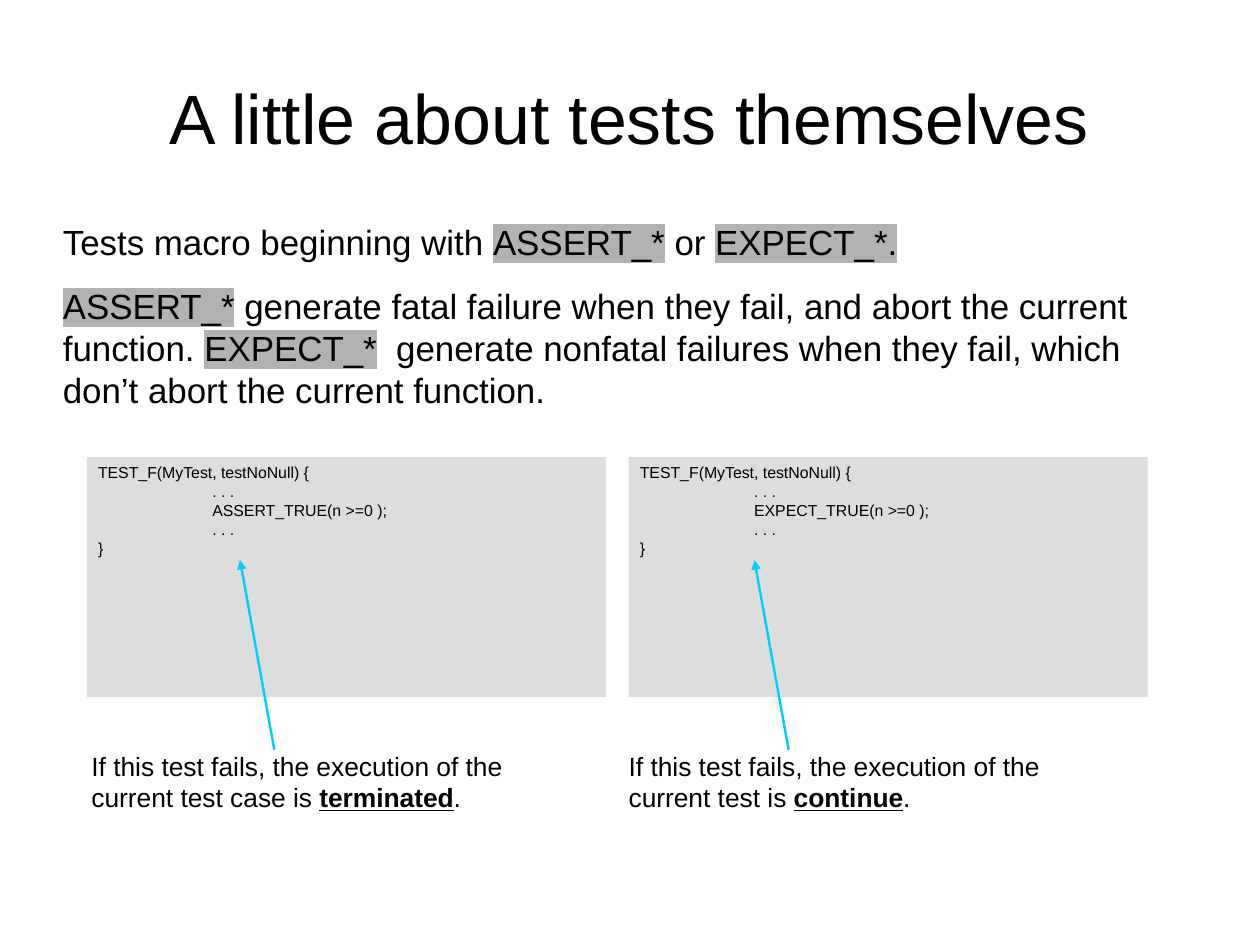
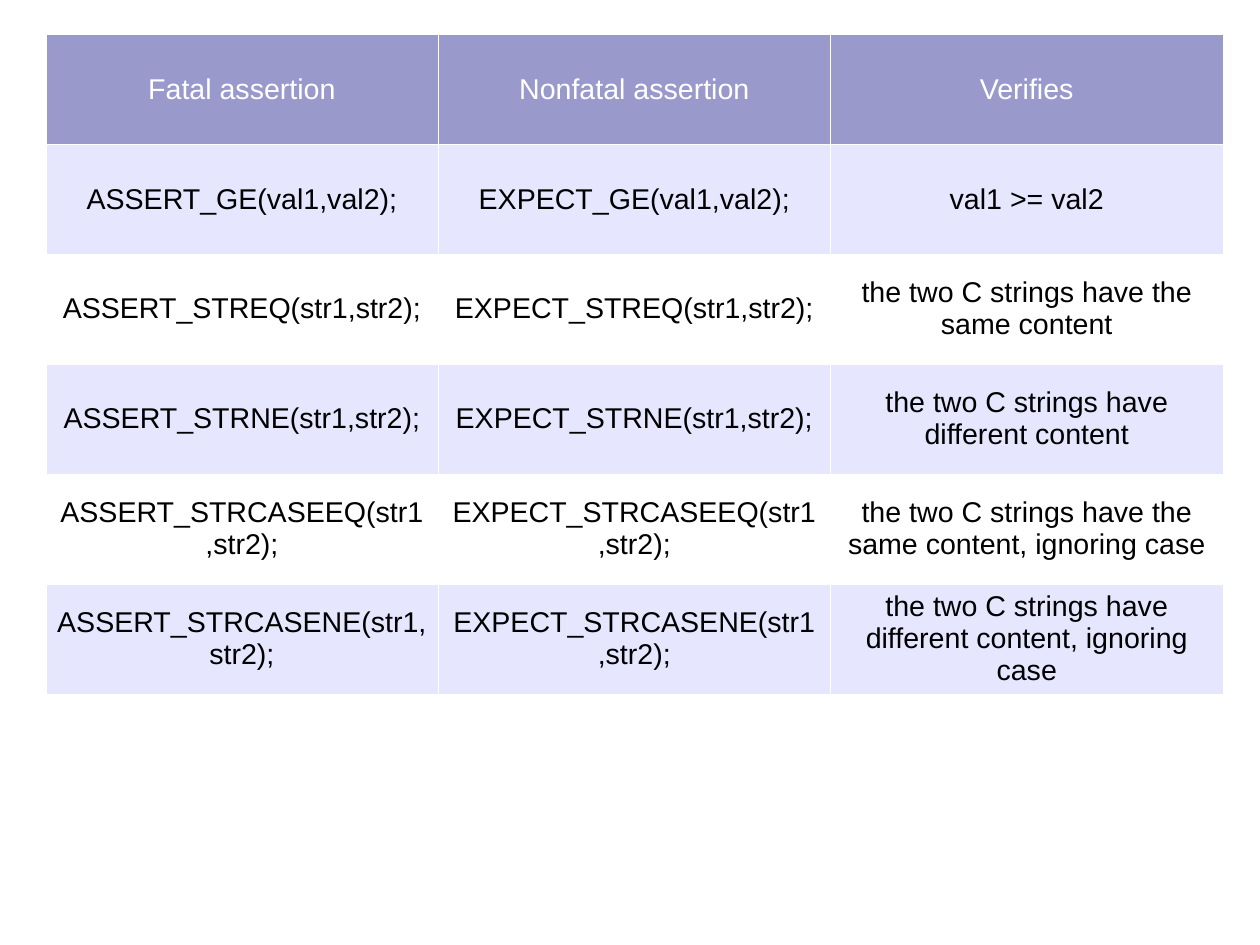
from dataclasses import dataclass

from lxml.etree import SubElement
from pptx import Presentation
from pptx.dml.color import RGBColor
from pptx.enum.shapes import MSO_CONNECTOR as Connector, MSO_SHAPE as Preset
from pptx.enum.text import MSO_ANCHOR as Anchor, PP_ALIGN as Align
from pptx.oxml.ns import qn
from pptx.slide import Slide
from pptx.text.text import TextFrame
from pptx.util import Cm, Inches, Pt

COLORS = {
    "text": "000000",
    "white": "FFFFFF",
    "highlight": "B2B2B2",
    "panel": "DDDDDD",
    "arrow": "00CCFF",
    "header": "9999CC",
    "band": "E6E6FF",
}
FONT = "Arial"
SLIDE_SIZE_CM = (28, 21)
BLANK_LAYOUT = 6
PANEL_TOP, CAPTION_TOP, ARROW_TIP = 4.0, 6.56, 4.9
ARROW_LEAN = 0.3


@dataclass(frozen=True)
class Span:
    text: str
    marked: bool = False
    strong: bool = False


@dataclass(frozen=True)
class Style:
    size: float
    color: str = "text"
    align: Align = Align.LEFT
    space_before: float = 0
    tab_stop: float = 0


@dataclass(frozen=True)
class Example:
    panel_left: float
    caption_left: float
    arrow_left: float
    macro: str
    subject: str
    outcome: str


TITLE = Style(44, align=Align.CENTER)
BODY = Style(22, space_before=14.2)
CODE = Style(10, tab_stop=1)
CAPTION = Style(16.6)
HEADER_CELL = Style(18, "white", Align.CENTER)
BODY_CELL = Style(18, align=Align.CENTER)

BODY_TEXT = [
    [
        Span("Tests macro beginning with "),
        Span("ASSERT_*", marked=True),
        Span(" or "),
        Span("EXPECT_*.", marked=True),
    ],
    [
        Span("ASSERT_*", marked=True),
        Span(" generate fatal failure when they fail, and abort the current function. "),
        Span("EXPECT_*", marked=True),
        Span("  generate nonfatal failures when they fail, "
             "which don’t abort the current function."),
    ],
]
EXAMPLES = [
    Example(0.76, 0.8, 2.1, "ASSERT_TRUE", "test case", "terminated"),
    Example(5.5, 5.5, 6.6, "EXPECT_TRUE", "test", "continue"),
]
TABLE_HEADER = ("Fatal assertion", "Nonfatal assertion", "Verifies")
CHECKS = [
    ("GE(val1,val2);", "val1 >= val2"),
    ("STREQ(str1,str2);", "the two C strings have the same content"),
    ("STRNE(str1,str2);", "the two C strings have different content"),
    ("STRCASEEQ(str1,str2);", "the two C strings have the same content, ignoring case"),
    ("STRCASENE(str1,str2);", "the two C strings have different content, ignoring case"),
]


def rgb(name: str) -> RGBColor:
    return RGBColor.from_string(COLORS[name])


def add_solid(parent, tag: str, color: str) -> None:
    """Append a colour-holding element, such as a highlight or a fill."""
    SubElement(SubElement(parent, qn(tag)), qn("a:srgbClr")).set("val", COLORS[color])


def write(frame: TextFrame, lines: list[list[Span]], style: Style) -> None:
    for index, spans in enumerate(lines):
        para = frame.paragraphs[0] if index == 0 else frame.add_paragraph()
        para.alignment = style.align
        para.space_before = Pt(style.space_before)
        if style.tab_stop:
            stops = SubElement(para._p.get_or_add_pPr(), qn("a:tabLst"))
            SubElement(stops, qn("a:tab"), pos=str(Inches(style.tab_stop)), algn="l")
        para.font.size = Pt(style.size)
        for span in spans:
            run = para.add_run()
            run.text = span.text
            # Shape and table styles override paragraph colour and typeface
            run.font.color.rgb = rgb(style.color)
            if span.marked:
                add_solid(run.font._element, "a:highlight", "highlight")
            run.font.name = FONT
            if span.strong:
                run.font.bold = run.font.underline = True


def add_text(slide: Slide, left: float, top: float, width: float, height: float,
             lines: list[list[Span]], style: Style, anchor: Anchor = Anchor.TOP) -> None:
    box = slide.shapes.add_textbox(*map(Inches, (left, top, width, height)))
    frame = box.text_frame
    frame.word_wrap = True
    frame.vertical_anchor = anchor
    frame.margin_left = frame.margin_right = frame.margin_top = frame.margin_bottom = 0
    write(frame, lines, style)


def add_panel(slide: Slide, example: Example) -> None:
    panel = slide.shapes.add_shape(
        Preset.RECTANGLE, *map(Inches, (example.panel_left, PANEL_TOP, 4.54, 2.1)))
    panel.shadow.inherit = False
    panel.fill.solid()
    panel.fill.fore_color.rgb = rgb("panel")
    panel.line.fill.background()
    panel.text_frame.word_wrap = True
    panel.text_frame.vertical_anchor = Anchor.TOP
    code = ["TEST_F(MyTest, testNoNull) {", "\t. . .",
            f"\t{example.macro}(n >=0 );", "\t. . .", "}"]
    write(panel.text_frame, [[Span(line)] for line in code], CODE)


def add_arrow(slide: Slide, example: Example) -> None:
    ends = (example.arrow_left + ARROW_LEAN, CAPTION_TOP, example.arrow_left, ARROW_TIP)
    arrow = slide.shapes.add_connector(Connector.STRAIGHT, *map(Inches, ends))
    arrow.line.color.rgb = rgb("arrow")
    arrow.line.width = Pt(1.5)
    SubElement(arrow.line._get_or_add_ln(), qn("a:tailEnd")).set("type", "triangle")
    SubElement(arrow._element.spPr, qn("a:effectLst"))


def add_example(slide: Slide, example: Example) -> None:
    add_panel(slide, example)
    caption = [
        Span(f"If this test fails, the execution of the current {example.subject} is "),
        Span(example.outcome, strong=True),
        Span("."),
    ]
    add_text(slide, example.caption_left, CAPTION_TOP, 4.3, 0.44, [caption], CAPTION)
    add_arrow(slide, example)


def add_assertion_table(slide: Slide) -> None:
    rows = [TABLE_HEADER] + [
        (f"ASSERT_{call}", f"EXPECT_{call}", meaning) for call, meaning in CHECKS]
    table = slide.shapes.add_table(
        len(rows), len(TABLE_HEADER), *map(Inches, (0.4, 0.3, 10.3, 5.77))).table
    table.first_row = table.horz_banding = False
    for row_index, row in enumerate(rows):
        if row_index == 0:
            fill, style = "header", HEADER_CELL
        else:
            fill, style = ("band" if row_index % 2 else "white"), BODY_CELL
        for column_index, text in enumerate(row):
            cell = table.cell(row_index, column_index)
            cell.vertical_anchor = Anchor.MIDDLE
            # Thin white borders come before the fill
            properties = cell._tc.get_or_add_tcPr()
            for side in ("a:lnL", "a:lnR", "a:lnT", "a:lnB"):
                border = SubElement(properties, qn(side))
                border.set("w", str(Pt(0.06)))
                add_solid(border, "a:solidFill", "white")
            cell.fill.solid()
            cell.fill.fore_color.rgb = rgb(fill)
            write(cell.text_frame, [[Span(text)]], style)


def main() -> None:
    deck = Presentation()
    deck.slide_width, deck.slide_height = map(Cm, SLIDE_SIZE_CM)
    pages = [deck.slides.add_slide(deck.slide_layouts[BLANK_LAYOUT]) for _ in range(2)]

    # Fatal and nonfatal macros, with one example each
    add_text(pages[0], 0.55, 0.33, 9.92, 1.38,
             [[Span("A little about tests themselves")]], TITLE, Anchor.MIDDLE)
    add_text(pages[0], 0.55, 1.93, 9.95, 1.67, BODY_TEXT, BODY)
    for example in EXAMPLES:
        add_example(pages[0], example)

    # Table of assertions
    add_assertion_table(pages[1])

    deck.save("out.pptx")


if __name__ == "__main__":
    main()
